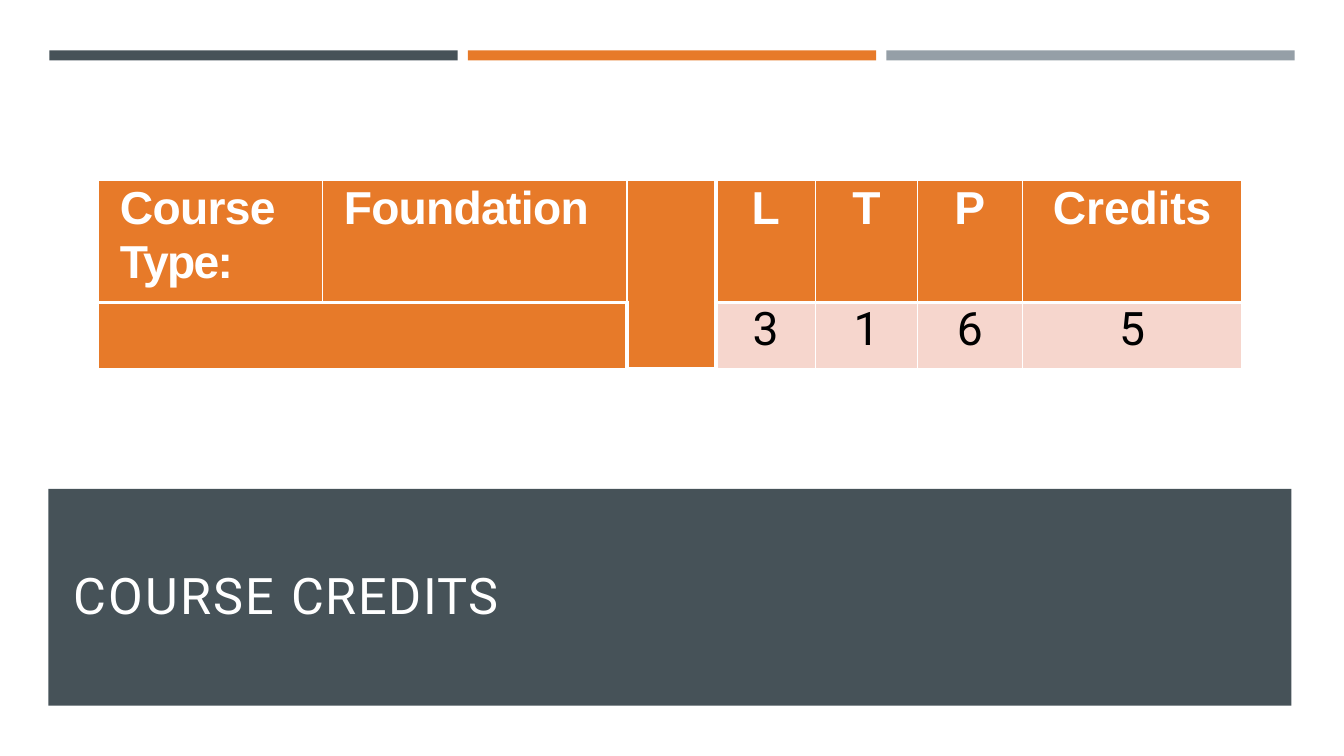
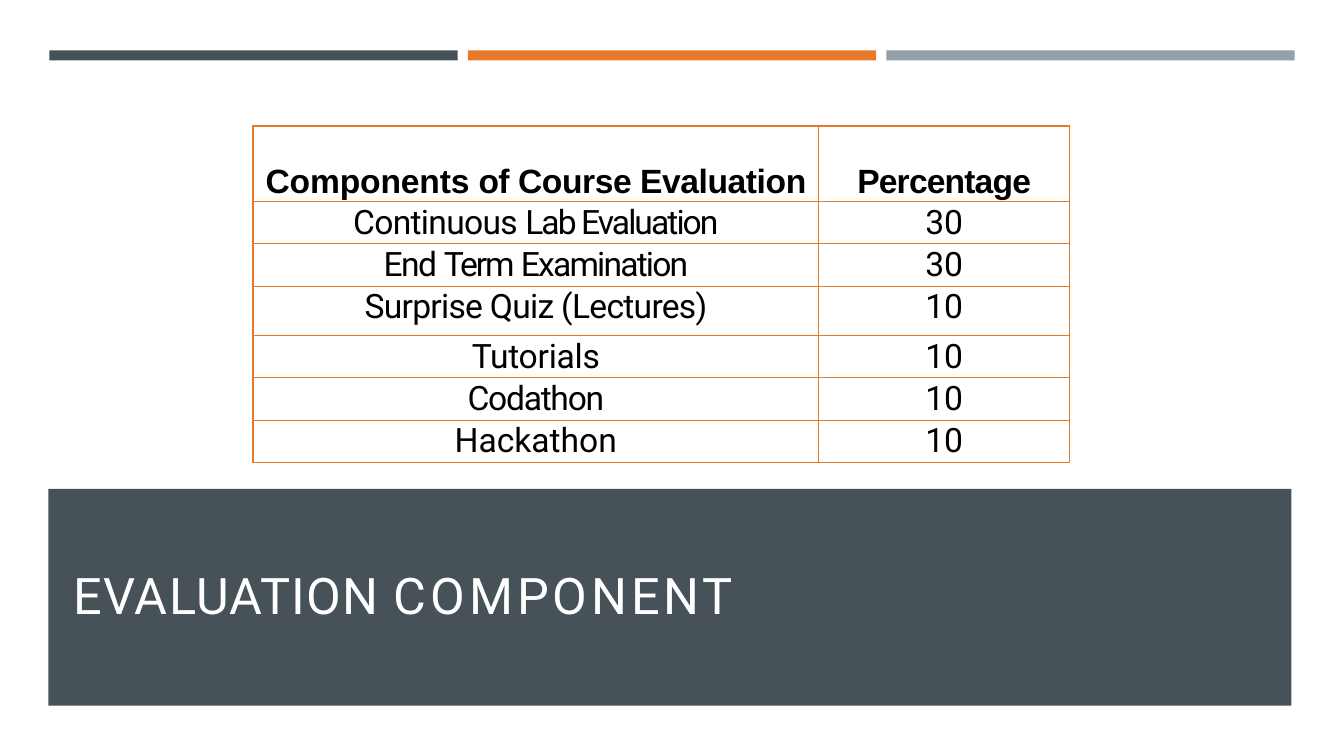
from dataclasses import dataclass

from lxml import etree
from pptx import Presentation
from pptx import util as u
from pptx.dml.color import RGBColor
from pptx.enum import shapes, text
from pptx.oxml import ns

SLATE, ORANGE, GREY = "465258", "E77A29", "959FA7"
PINK, WHITE, BLACK = "F6D6CD", "FFFFFF", "000000"
STRIPE_LEFT, STRIPE_TOP, STRIPE_WIDTH, STRIPE_HEIGHT, STRIPE_GAP = 0.49, 0.5, 4.05, 0.1, 0.1
CENTER, LEFT = text.PP_ALIGN.CENTER, text.PP_ALIGN.LEFT


@dataclass(frozen=True)
class Span:
    """Words with their letter spacing in points."""
    words: str
    spacing: float = 0


@dataclass(frozen=True)
class Style:
    font: str
    size: float
    color: str
    bold: bool = False
    align: text.PP_ALIGN = CENTER
    line_height: float | None = None
    indent: float = 0


@dataclass(frozen=True)
class Edges:
    """Border widths of a cell in points."""
    left: float = 1
    right: float = 1
    top: float = 1
    bottom: float = 1


Line = tuple[Span, ...]

TITLE = Style("Roboto", 36, WHITE, align=LEFT, indent=0.25)
CREDIT_LABEL = Style("Arial", 33, WHITE, True, LEFT, 38.4, 0.21)
CREDIT_HEAD = Style("Arial", 33, WHITE, True, line_height=38.5)
CREDIT_VALUE = Style("Roboto", 33, BLACK, line_height=38.5)
SHARE_HEAD = Style("Arial", 24, BLACK, True, line_height=28.6)
SHARE_BODY = Style("Roboto", 24, BLACK, line_height=28.6)

CREDIT_COLUMNS = (2.22, 3.02, 0.88, 0.99, 1.01, 1.04, 2.18)
CREDIT_ROWS = (1.21, 0.66)
CREDIT_LABELS: dict[int, list[Line]] = {
    0: [(Span("Course", -0.5),), (Span("Type:", -1.2),)],
    1: [(Span("Foundation", -0.5),)],
}
CREDIT_UNITS = ((Span("L"), "3"), (Span("T"), "1"), (Span("P"), "6"), (Span("Credits", -0.1), "5"))
FIRST_UNIT = 3

SHARE_COLUMNS = (5.61, 2.49)
SHARE_ROWS = (0.75, 0.42, 0.42, 0.49, 0.42, 0.42, 0.42)
SHARES: tuple[tuple[Line, Line], ...] = (
    ((Span("Components ", -0.1), Span("of ", -0.6), Span("Course Evaluation", -0.3)),
     (Span("Percentage", -0.6),)),
    ((Span("Continuous ", -0.5), Span("Lab Evaluation", -1.4)), (Span("30"),)),
    ((Span("End ", -1.1), Span("Term ", -1.5), Span("Examination", -1.3)), (Span("30"),)),
    ((Span("Surprise Quiz (Lectures)", -0.5),), (Span("10"),)),
    ((Span("Tutorials", -0.2),), (Span("10"),)),
    ((Span("Codathon", -0.9),), (Span("10"),)),
    ((Span("Hackathon"),), (Span("10"),)),
)


def rgb(value: str) -> RGBColor:
    return RGBColor.from_string(value)


def write(frame, lines: list[Line], style: Style) -> None:
    frame.text = "\n".join("" for _ in lines)
    for para, line in zip(frame.paragraphs, lines):
        para.alignment = style.align
        if style.line_height:
            para.line_spacing = u.Pt(style.line_height)
        if style.indent:
            properties = para._p.get_or_add_pPr()
            properties.set("marL", str(u.Inches(style.indent)))
            properties.set("indent", "0")
        for part in line:
            span = para.add_run()
            span.text = part.words
            span.font.name, span.font.size = style.font, u.Pt(style.size)
            span.font.bold = style.bold
            span.font.color.rgb = rgb(style.color)
            span._r.get_or_add_rPr().set("spc", str(round(part.spacing * 100)))


def add_box(page, left: float, top: float, width: float, height: float, fill: str):
    box = page.shapes.add_shape(shapes.MSO_SHAPE.RECTANGLE, u.Inches(left), u.Inches(top),
                                u.Inches(width), u.Inches(height))
    box.shadow.inherit = False
    box.fill.solid()
    box.fill.fore_color.rgb = rgb(fill)
    box.line.fill.background()
    return box


def add_page(deck, title: Line):
    """Add a slide with the three stripes and the title band."""
    page = deck.slides.add_slide(deck.slide_layouts[6])
    for column, color in enumerate((SLATE, ORANGE, GREY)):
        left = STRIPE_LEFT + column * (STRIPE_WIDTH + STRIPE_GAP)
        add_box(page, left, STRIPE_TOP, STRIPE_WIDTH, STRIPE_HEIGHT, color)
    frame = add_box(page, 0.48, 4.85, 12.33, 2.15, SLATE).text_frame
    frame.word_wrap = True
    frame.vertical_anchor = text.MSO_ANCHOR.TOP
    frame.margin_left = frame.margin_right = frame.margin_bottom = 0
    frame.margin_top = u.Inches(0.75)
    write(frame, [title], TITLE)
    return page


def add_grid(page, left: float, top: float, columns: tuple[float, ...], rows: tuple[float, ...]):
    table = page.shapes.add_table(len(rows), len(columns), u.Inches(left), u.Inches(top),
                                  u.Inches(sum(columns)), u.Inches(sum(rows))).table
    for column, width in zip(table.columns, columns):
        column.width = u.Inches(width)
    for row, height in zip(table.rows, rows):
        row.height = u.Inches(height)
    return table


def dress(cell, border: str, edges: Edges, fill: str | None = None, inset: float = 0) -> None:
    """Set the margins, borders and fill of a cell."""
    cell.margin_left = cell.margin_right = cell.margin_bottom = 0
    cell.margin_top = u.Inches(inset)
    properties = cell._tc.get_or_add_tcPr()
    widths = {"L": edges.left, "R": edges.right, "T": edges.top, "B": edges.bottom}
    for side, width in widths.items():
        line = etree.SubElement(properties, ns.qn(f"a:ln{side}"), w=str(u.Pt(width)))
        paint = etree.SubElement(line, ns.qn("a:solidFill"))
        etree.SubElement(paint, ns.qn("a:srgbClr"), val=border)
    if fill:
        cell.fill.solid()
        cell.fill.fore_color.rgb = rgb(fill)
    else:
        cell.fill.background()


def credit_edges(row: int, column: int) -> Edges:
    """Thicken the lines below the header and around the spacer column."""
    spacer = FIRST_UNIT - 1
    lower = row == 1
    return Edges(
        left=3 if column == FIRST_UNIT or (lower and column == spacer) else 1,
        right=3 if column == spacer or (lower and column < spacer) else 1,
        top=3 if lower else 1,
        bottom=1 if lower else 3,
    )


def add_credits(deck) -> None:
    page = add_page(deck, (Span("COURSE ", 1.6), Span("CREDITS", 1.1)))
    table = add_grid(page, 0.98, 1.79, CREDIT_COLUMNS, CREDIT_ROWS)
    for row in range(len(CREDIT_ROWS)):
        for column in range(len(CREDIT_COLUMNS)):
            fill = PINK if row and column >= FIRST_UNIT else ORANGE
            dress(table.cell(row, column), WHITE, credit_edges(row, column), fill)
    table.cell(0, 2).merge(table.cell(1, 2))
    table.cell(1, 0).merge(table.cell(1, 1))
    for column, lines in CREDIT_LABELS.items():
        write(table.cell(0, column).text_frame, lines, CREDIT_LABEL)
    for column, (head, value) in enumerate(CREDIT_UNITS, FIRST_UNIT):
        write(table.cell(0, column).text_frame, [(head,)], CREDIT_HEAD)
        write(table.cell(1, column).text_frame, [(Span(value),)], CREDIT_VALUE)


def add_evaluation(deck) -> None:
    page = add_page(deck, (Span("EVALUATION ", 0.9), Span("COMPONENT", 2.8)))
    table = add_grid(page, 2.51, 1.25, SHARE_COLUMNS, SHARE_ROWS)
    for row, lines in enumerate(SHARES):
        for column, line in enumerate(lines):
            cell = table.cell(row, column)
            dress(cell, ORANGE, Edges(), inset=0.01 if row else 0.34)
            write(cell.text_frame, [line], SHARE_BODY if row else SHARE_HEAD)


def main() -> None:
    deck = Presentation()
    deck.slide_width, deck.slide_height = u.Inches(13.33), u.Inches(7.5)
    add_credits(deck)
    add_evaluation(deck)
    deck.save("out.pptx")


if __name__ == "__main__":
    main()
